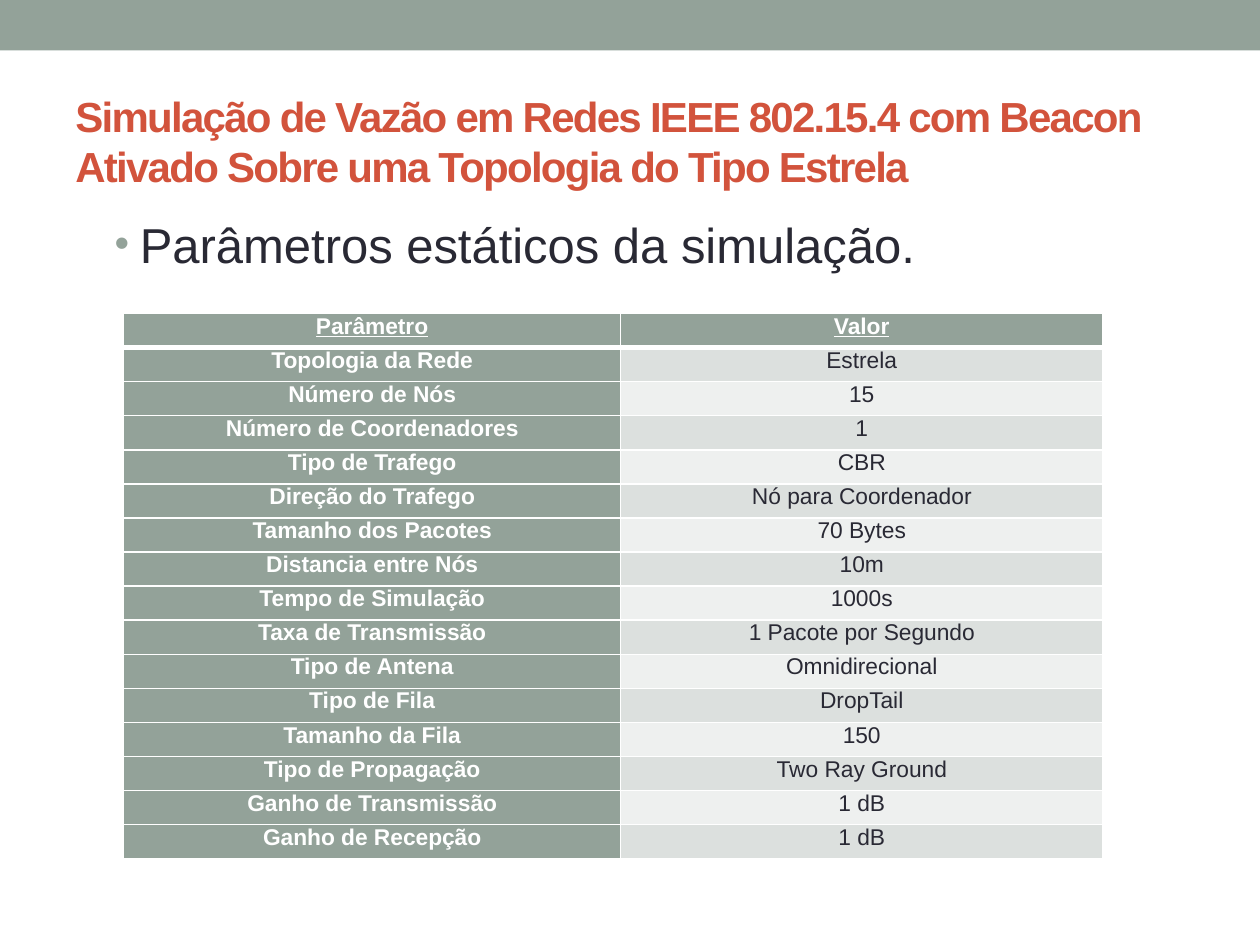
from dataclasses import dataclass

from lxml.etree import SubElement
from pptx import Presentation
from pptx.dml.color import RGBColor
from pptx.enum.shapes import MSO_SHAPE
from pptx.enum.text import MSO_ANCHOR, PP_ALIGN
from pptx.oxml.ns import qn
from pptx.util import Cm, Pt


@dataclass(frozen=True)
class Theme:
    font: str = "Arial"
    sage: str = "93A299"
    brick: str = "D2533C"
    ink: str = "292934"
    white: str = "FFFFFF"
    odd_row: str = "DCE0DE"
    even_row: str = "EEF0EF"
    title_size: float = 24
    body_size: float = 28
    table_size: float = 13
    thin: float = 1
    thick: float = 3


@dataclass(frozen=True)
class Box:
    left: float
    top: float
    width: float
    height: float

    def lengths(self) -> tuple:
        return tuple(map(Cm, (self.left, self.top, self.width, self.height)))


@dataclass(frozen=True)
class Parameter:
    name: str
    value: str


THEME = Theme()
BAND = Box(0, 0, 25.4, 1.02)
TITLE = Box(1.27, 1.47, 22.86, 2.74)
TOPIC = Box(1.3, 4.19, 22.86, 12.52)
TABLE = Box(2.49, 6.32, 19.74, 11)
COLUMN_WIDTHS = (10.02, 9.72)

PARAMETERS = [
    Parameter("Parâmetro", "Valor"),
    Parameter("Topologia da Rede", "Estrela"),
    Parameter("Número de Nós", "15"),
    Parameter("Número de Coordenadores", "1"),
    Parameter("Tipo de Trafego", "CBR"),
    Parameter("Direção do Trafego", "Nó para Coordenador"),
    Parameter("Tamanho dos Pacotes", "70 Bytes"),
    Parameter("Distancia entre Nós", "10m"),
    Parameter("Tempo de Simulação", "1000s"),
    Parameter("Taxa de Transmissão", "1 Pacote por Segundo"),
    Parameter("Tipo de Antena", "Omnidirecional"),
    Parameter("Tipo de Fila", "DropTail"),
    Parameter("Tamanho da Fila", "150"),
    Parameter("Tipo de Propagação", "Two Ray Ground"),
    Parameter("Ganho de Transmissão", "1 dB"),
    Parameter("Ganho de Recepção", "1 dB"),
]


def apply_format(target, values: dict) -> None:
    for attribute, value in values.items():
        setattr(target, attribute, value)


def paint(fill, color: str) -> None:
    fill.solid()
    fill.fore_color.rgb = RGBColor.from_string(color)


def write(paragraph, text: str, size: float, color: str, **font_format):
    run = paragraph.add_run()
    run.text = text
    apply_format(run.font, {"name": THEME.font, "size": Pt(size), **font_format})
    run.font.color.rgb = RGBColor.from_string(color)
    return run


def add_text(slide, box: Box, anchor: MSO_ANCHOR):
    frame = slide.shapes.add_textbox(*box.lengths()).text_frame
    apply_format(frame, {"word_wrap": True, "vertical_anchor": anchor})
    return frame.paragraphs[0]


def add_band(slide) -> None:
    band = slide.shapes.add_shape(MSO_SHAPE.RECTANGLE, *BAND.lengths())
    band.shadow.inherit = False
    paint(band.fill, THEME.sage)
    band.line.fill.background()


def add_title(slide, text: str) -> None:
    paragraph = add_text(slide, TITLE, MSO_ANCHOR.MIDDLE)
    run = write(paragraph, text, THEME.title_size, THEME.brick, bold=True)
    run.font._element.set("spc", "-100")


def add_topic(slide, text: str) -> None:
    paragraph = add_text(slide, TOPIC, MSO_ANCHOR.TOP)
    apply_format(paragraph, {"alignment": PP_ALIGN.JUSTIFY,
                             "space_before": Pt(0.2 * THEME.body_size)})
    write(paragraph, text, THEME.body_size, THEME.ink)
    # Bullet in the accent colour
    properties = paragraph._p.get_or_add_pPr()
    properties.set("marL", str(Cm(1.27)))
    properties.set("indent", str(-Cm(0.51)))
    bullet_color = SubElement(properties, qn("a:buClr"))
    SubElement(bullet_color, qn("a:srgbClr"), val=THEME.sage)
    SubElement(properties, qn("a:buSzPct"), val="85000")
    SubElement(properties, qn("a:buFont"), typeface=THEME.font)
    SubElement(properties, qn("a:buChar"), char="•")


def add_borders(cell, row: int) -> None:
    widths = {
        "a:lnL": THEME.thin,
        "a:lnR": THEME.thin,
        "a:lnT": THEME.thick if row == 1 else THEME.thin,
        "a:lnB": THEME.thick if row == 0 else THEME.thin,
    }
    properties = cell._tc.get_or_add_tcPr()
    for side, width in widths.items():
        line = SubElement(properties, qn(side), w=str(Pt(width)))
        fill = SubElement(line, qn("a:solidFill"))
        SubElement(fill, qn("a:srgbClr"), val=THEME.white)


def fill_cell(cell, text: str, row: int, is_value: bool) -> None:
    plain = is_value and row > 0
    stripe = THEME.odd_row if row % 2 else THEME.even_row
    apply_format(cell, {"margin_left": Cm(0.18), "margin_right": Cm(0.18),
                        "margin_top": 0, "margin_bottom": 0,
                        "vertical_anchor": MSO_ANCHOR.TOP})
    add_borders(cell, row)
    paint(cell.fill, stripe if plain else THEME.sage)
    paragraph = cell.text_frame.paragraphs[0]
    apply_format(paragraph, {"alignment": PP_ALIGN.CENTER, "space_before": Pt(6)})
    write(paragraph, text, THEME.table_size, THEME.ink if plain else THEME.white,
          bold=not plain, underline=row == 0)


def add_parameter_table(slide, parameters: list[Parameter]) -> None:
    table = slide.shapes.add_table(
        len(parameters), len(COLUMN_WIDTHS), *TABLE.lengths()).table
    for column, width in zip(table.columns, COLUMN_WIDTHS):
        column.width = Cm(width)
    for row, parameter in enumerate(parameters):
        table.rows[row].height = Cm(TABLE.height / len(parameters))
        fill_cell(table.cell(row, 0), parameter.name, row, is_value=False)
        fill_cell(table.cell(row, 1), parameter.value, row, is_value=True)


def main() -> None:
    presentation = Presentation()
    apply_format(presentation, {"slide_width": Cm(25.4), "slide_height": Cm(19.05)})
    slide = presentation.slides.add_slide(presentation.slide_layouts[6])
    paint(slide.background.fill, THEME.white)

    # Heading
    add_band(slide)
    add_title(slide, "Simulação de Vazão em Redes IEEE 802.15.4 com Beacon "
                     "Ativado Sobre uma Topologia do Tipo Estrela")

    # Simulation parameters
    add_topic(slide, "Parâmetros estáticos da simulação.")
    add_parameter_table(slide, PARAMETERS)

    presentation.save("out.pptx")


if __name__ == "__main__":
    main()
